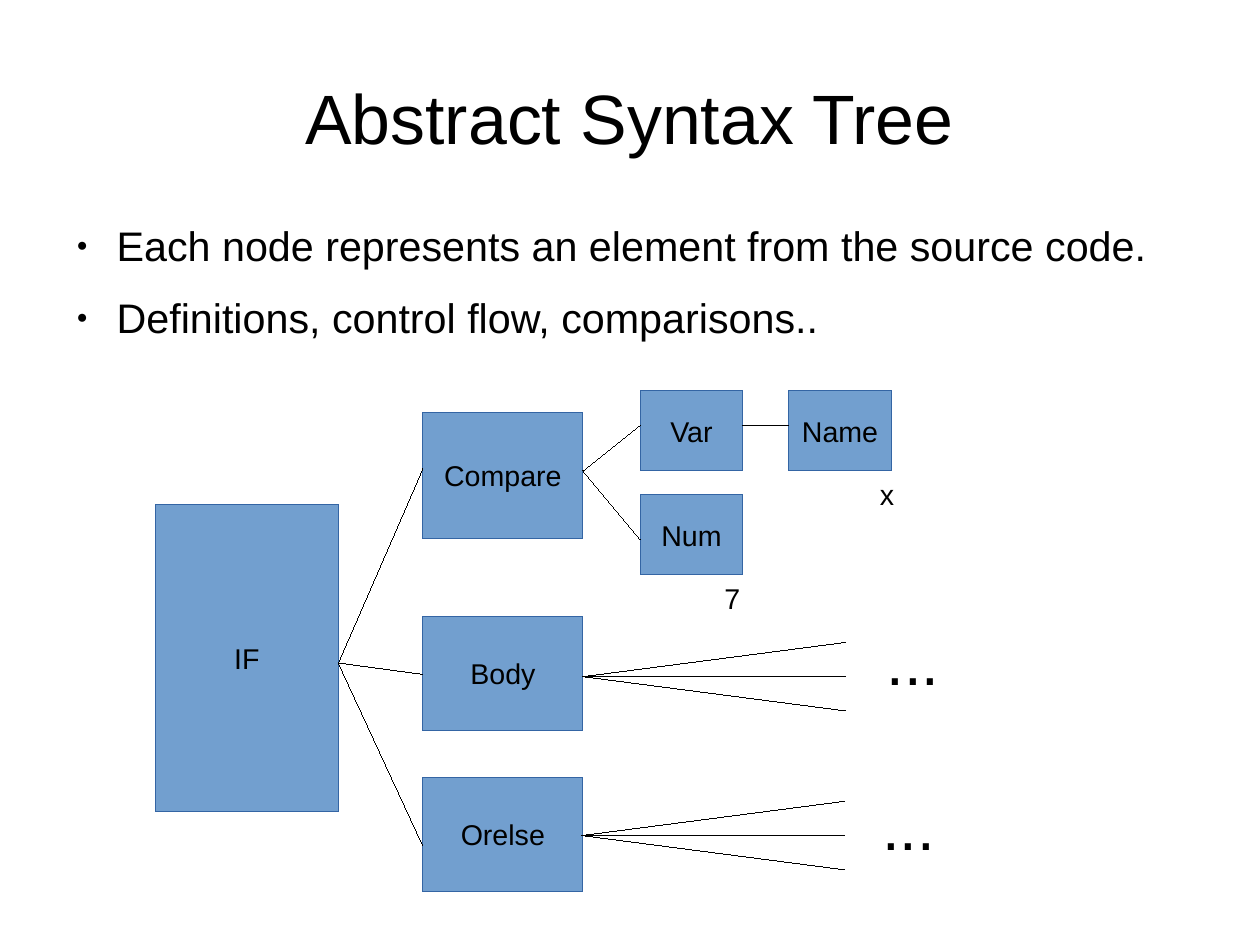
from lxml.etree import SubElement
from pptx import Presentation
from pptx.dml.color import RGBColor
from pptx.enum.shapes import MSO_CONNECTOR, MSO_SHAPE
from pptx.enum.text import MSO_ANCHOR, PP_ALIGN
from pptx.oxml.ns import qn
from pptx.util import Cm, Inches, Pt


def color(code):
    return RGBColor.from_string(code)


def cells(*counts):
    """Turn counts of grid cells, ten to the inch, into lengths."""
    return [Inches(count / 10) for count in counts]


def write(frame, text, size=18, align=PP_ALIGN.LEFT, anchor=MSO_ANCHOR.TOP,
          wrap=False, margins=(1, 0.5), before=0, bullet=None):
    """Fill a text frame, one paragraph per line of text."""
    frame.word_wrap = wrap
    frame.vertical_anchor = anchor
    side, edge = cells(*margins)
    frame.margin_left = frame.margin_right = side
    frame.margin_top = frame.margin_bottom = edge
    for index, line in enumerate(text.split("\n")):
        para = frame.add_paragraph() if index else frame.paragraphs[0]
        para.alignment = align
        para.space_before = Pt(before)
        if bullet:
            add_bullet(para, bullet)
        span = para.add_run()
        span.text = line
        span.font.name = Style.font
        span.font.size = Pt(size)
        span.font.color.rgb = color(Style.ink)


def add_bullet(para, sign):
    props = para._p.get_or_add_pPr()
    props.set("marL", str(Inches(0.47)))
    props.set("indent", str(Inches(-0.35)))
    tint = SubElement(props, qn("a:buClr"))
    SubElement(tint, qn("a:srgbClr"), val=Style.ink)
    SubElement(props, qn("a:buSzPct"), val="45000")
    SubElement(props, qn("a:buFont"), typeface=Style.font)
    SubElement(props, qn("a:buChar"), char=sign)


def hairline(shape, code):
    """Colour the line and write its zero width, which line.width leaves out."""
    shape.line.color.rgb = color(code)
    shape._element.spPr.find(qn("a:ln")).set("w", "0")


class Style:
    font = "Arial"
    ink = "000000"
    node_fill = "729FCF"
    node_line = "3465A4"

    def __init__(self, slide):
        self.slide = slide

    def label(self, text, area, **form):
        box = self.slide.shapes.add_textbox(*cells(*area))
        write(box.text_frame, text, **form)

    def node(self, text, area):
        box = self.slide.shapes.add_shape(MSO_SHAPE.FLOWCHART_PROCESS, *cells(*area))
        box.shadow.inherit = False
        box.fill.solid()
        box.fill.fore_color.rgb = color(self.node_fill)
        hairline(box, self.node_line)
        write(box.text_frame, text, align=PP_ALIGN.CENTER, anchor=MSO_ANCHOR.MIDDLE)

    def branches(self, start, column, rows):
        """Draw a line from start to each of the rows at one column."""
        for row in rows:
            edge = self.slide.shapes.add_connector(
                MSO_CONNECTOR.STRAIGHT, *cells(*start, column, row))
            hairline(edge, self.ink)
            SubElement(edge._element.spPr, qn("a:effectLst"))


def main():
    deck = Presentation()
    deck.slide_width = Cm(28)
    deck.slide_height = Cm(21)
    page = Style(deck.slides.add_slide(deck.slide_layouts[6]))

    page.label("Abstract Syntax Tree", (5.5, 3.3, 99.2, 13.8), size=44, wrap=True,
               align=PP_ALIGN.CENTER, anchor=MSO_ANCHOR.MIDDLE, margins=(0, 0))
    page.label("Each node represents an element from the source code.\n"
               "Definitions, control flow, comparisons..",
               (5.5, 19.3, 99.2, 47.9), size=26, wrap=True, margins=(0, 0),
               before=14.2, bullet="●")

    page.node("IF", (13.6, 44.1, 16, 26.9))
    for text, top, height in (("Compare", 36.1, 11), ("Body", 53.9, 10), ("Orelse", 68, 10)):
        page.node(text, (37, top, 14, height))
    for text, left, top in (("Var", 56, 34.2), ("Num", 56, 43.3), ("Name", 69, 34.2)):
        page.node(text, (left, top, 9, 7))

    page.branches((29.6, 58), 37, (41, 59, 74))
    page.branches((51, 41.2), 56, (37.2, 47.2))
    page.branches((65, 37.2), 69, (37.2,))
    for left, middle in ((51, 59.2), (50.9, 73.1)):
        page.branches((left, middle), left + 23, (middle - 3, middle, middle + 3))

    page.label("x", (76, 41.2, 4, 3.8), wrap=True)
    page.label("7", (62.4, 50.3, 3.4, 3.8))
    for left, top in ((76.6, 53.9), (76.2, 68.4)):
        page.label("...", (left, top, 6.6, 7.2), size=40)

    deck.save("out.pptx")


if __name__ == "__main__":
    main()
